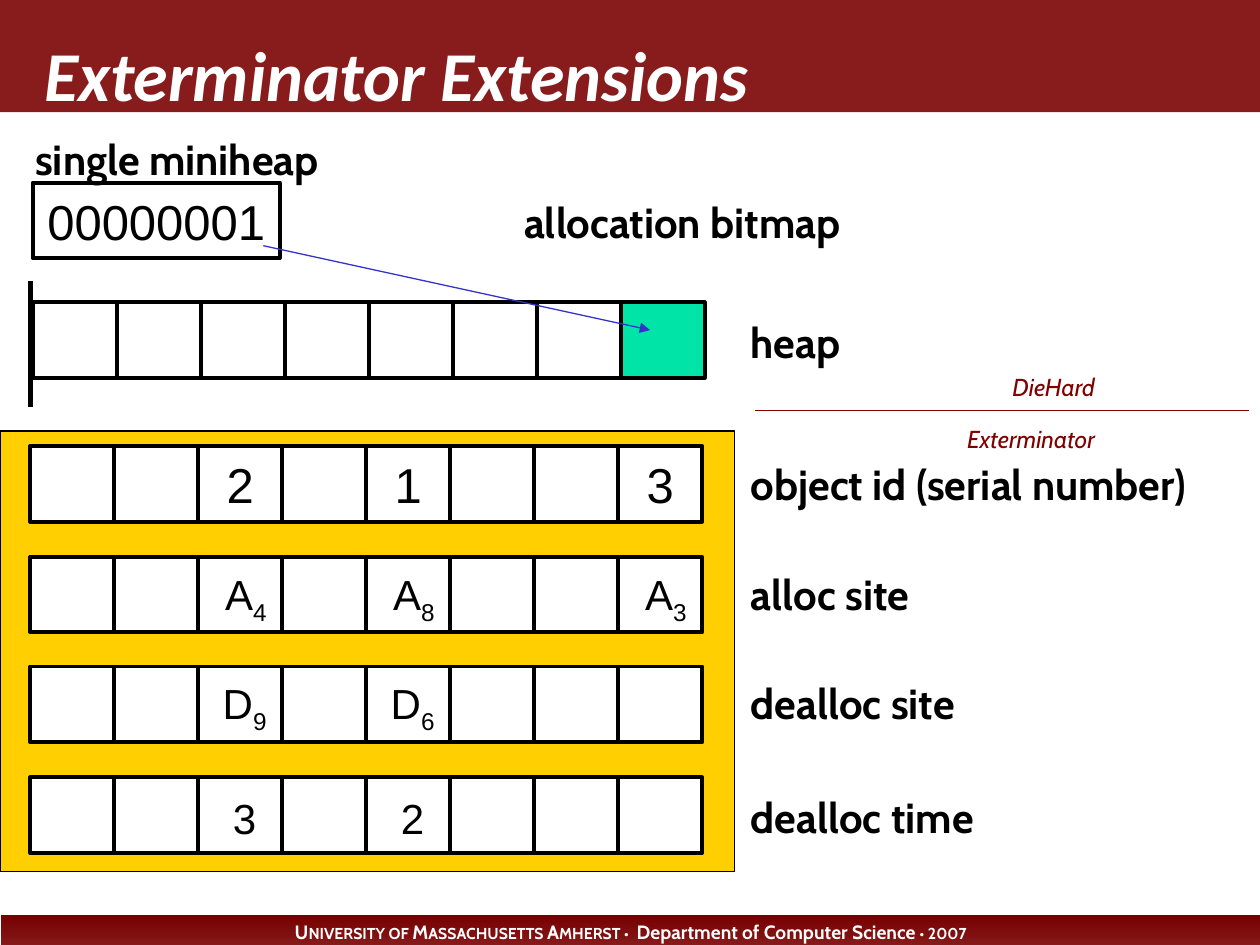
from lxml import etree
from pptx import Presentation
from pptx.dml.color import RGBColor
from pptx.enum.shapes import MSO_CONNECTOR, MSO_SHAPE
from pptx.enum.text import MSO_ANCHOR, MSO_AUTO_SIZE, PP_ALIGN
from pptx.oxml.ns import qn
from pptx.util import Inches, Pt

RECT = MSO_SHAPE.RECTANGLE
STRAIGHT = MSO_CONNECTOR.STRAIGHT
LEFT, CENTER, RIGHT = PP_ALIGN.LEFT, PP_ALIGN.CENTER, PP_ALIGN.RIGHT
TOP, MIDDLE, BOTTOM = MSO_ANCHOR.TOP, MSO_ANCHOR.MIDDLE, MSO_ANCHOR.BOTTOM

COLORS = {
    name: RGBColor.from_string(value)
    for name, value in {
        "white": "FFFFFF", "black": "000000", "maroon": "881C1C",
        "dark maroon": "760000", "gold": "FFCF01", "green": "00E4A8",
        "divider": "800000", "pointer": "3333CC",
    }.items()
}

LABEL = {"name": "Cabin", "size": Pt(24), "bold": True}
SYSTEM = {"name": "Cabin", "size": Pt(14), "italic": True}
DIGITS = {"name": "Arial", "size": Pt(28)}
SITE = {"name": "Arial", "size": Pt(24)}
CELL_STEP, CELL_HEIGHT = 2 / 3, 0.6


def add_box(shapes, place, fill, line_width=0):
    box = shapes.add_shape(RECT, *[Inches(value) for value in place])
    box.shadow.inherit = False
    box.fill.solid()
    box.fill.fore_color.rgb = COLORS[fill]
    if line_width:
        box.line.color.rgb = COLORS["black"]
        box.line.width = Pt(line_width)
    else:
        box.line.fill.background()
    return box


def write(box, spans, color="black", align=LEFT, anchor=TOP, wrap=True,
          insets=(0, 0.05, 0.1, 0.05)):
    """Fill a box with one paragraph of (text, font format, is subscript) spans."""
    frame = box.text_frame
    frame.auto_size = MSO_AUTO_SIZE.NONE
    frame.word_wrap = wrap
    frame.vertical_anchor = anchor
    for side, inset in zip(("left", "top", "right", "bottom"), insets):
        setattr(frame, f"margin_{side}", Inches(inset))
    para = frame.paragraphs[0]
    para.alignment = align
    for text, font_format, subscript in spans:
        span = para.add_run()
        span.text = text
        for name, value in font_format.items():
            setattr(span.font, name, value)
        span.font.color.rgb = COLORS[color]
        if subscript:
            span.font._element.set("baseline", "-25000")


deck = Presentation()
deck.slide_width, deck.slide_height = Inches(10), Inches(7.5)
page = deck.slides.add_slide(deck.slide_layouts[5])

# Footer and header bars
footer = add_box(page.shapes, (0.01, 7.26, 9.99, 0.27), "dark maroon")
footer.fill.gradient()
footer.fill.gradient_angle = 270
for stop, name in zip(footer.fill.gradient_stops, ("dark maroon", "maroon")):
    stop.color.rgb = COLORS[name]
footer_parts = [
    ("U", 11), ("NIVERSITY OF ", 9), ("M", 11), ("ASSACHUSETTS ", 9),
    ("A", 11), ("MHERST • ", 9), (" Department of Computer Science", 11),
    (" • 2007", 9),
]
write(footer,
      [(text, {"name": "Cabin", "size": Pt(size), "bold": True}, False)
       for text, size in footer_parts],
      "white", CENTER, MIDDLE, insets=(0.1, 0, 0.1, 0))
header = add_box(page.shapes, (0, 0, 10, 0.89), "maroon")

title = page.shapes.title
header.element.addnext(title.element)
title.left, title.top = Inches(0.25), Inches(0.08)
title.width, title.height = Inches(8.33), Inches(0.89)
write(title,
      [("Exterminator Extensions",
        {"name": "Calibri", "size": Pt(40), "bold": True, "italic": True}, False)],
      "white", anchor=BOTTOM, insets=(0.1, 0.05, 0.1, 0.05))

add_box(page.shapes, (0, 3.42, 5.83, 3.5), "gold", 0.75)

bitmap = add_box(page.shapes, (0.26, 1.45, 1.96, CELL_HEIGHT), "white", 2.25)
write(bitmap, [("00000001", DIGITS, False)], align=CENTER, anchor=MIDDLE,
      wrap=False, insets=(0.1, 0.05, 0.1, 0.05))

# Rows of eight cells: left, top, cell contents, text format, text shift
rows = [
    (0.26, 2.4, {}, DIGITS, 0),
    (0.24, 3.54, {2: "2", 4: "1", 7: "3"}, DIGITS, 0),
    (0.24, 4.42, {2: "A4", 4: "A8", 7: "A3"}, SITE, 0.09),
    (0.24, 5.29, {2: "D9", 4: "D6"}, SITE, 0.07),
    (0.24, 6.17, {2: "3", 4: "2"}, SITE, 0.07),
]
for left, top, contents, font_format, shift in rows:
    group = page.shapes.add_group_shape()
    for column in range(8):
        is_allocated = top == 2.4 and column == 7
        cell = add_box(group.shapes,
                       (left + column * CELL_STEP, top, CELL_STEP, CELL_HEIGHT),
                       "green" if is_allocated else "white", 2.25)
        if column in contents:
            spans = [(letter, font_format, index > 0)
                     for index, letter in enumerate(contents[column])]
            write(cell, spans, align=CENTER, anchor=MIDDLE, wrap=False,
                  insets=(shift, shift / 2, 0, 0))

# Labels: text, place, format, colour, alignment
labels = [
    ("single miniheap", (0.28, 1.01, 3.14, 0.5), LABEL, "black", LEFT),
    ("allocation bitmap", (4.16, 1.51, 3.14, 0.5), LABEL, "black", LEFT),
    ("heap", (5.96, 2.46, 2.33, 0.5), LABEL, "black", LEFT),
    ("object id (serial number)", (5.96, 3.59, 4.04, 0.5), LABEL, "black", LEFT),
    ("alloc site", (5.96, 4.46, 2.33, 0.5), LABEL, "black", LEFT),
    ("dealloc site", (5.96, 5.33, 2.33, 0.5), LABEL, "black", LEFT),
    ("dealloc time", (5.96, 6.23, 2.33, 0.5), LABEL, "black", LEFT),
    ("DieHard", (7.46, 2.9, 1.33, 0.33), SYSTEM, "divider", RIGHT),
    ("Exterminator", (7.46, 3.32, 1.33, 0.33), SYSTEM, "divider", RIGHT),
]
for text, place, font_format, color, align in labels:
    label = page.shapes.add_textbox(*[Inches(value) for value in place])
    write(label, [(text, font_format, False)], color, align)

# Lines: heap start, system divider, pointer from bitmap to heap
lines = [
    ((0.24, 2.23, 0.24, 3.23), "black", 3, False),
    ((5.99, 3.26, 9.91, 3.26), "divider", 0.75, False),
    ((2.09, 1.95, 5.16, 2.62), "pointer", 0.75, True),
]
for ends, color, width, has_arrow in lines:
    line = page.shapes.add_connector(STRAIGHT, *[Inches(value) for value in ends])
    line.line.color.rgb = COLORS[color]
    line.line.width = Pt(width)
    if has_arrow:
        etree.SubElement(line.line._get_or_add_ln(), qn("a:tailEnd"), type="triangle")
    etree.SubElement(line.element.spPr, qn("a:effectLst"))

deck.save("out.pptx")
